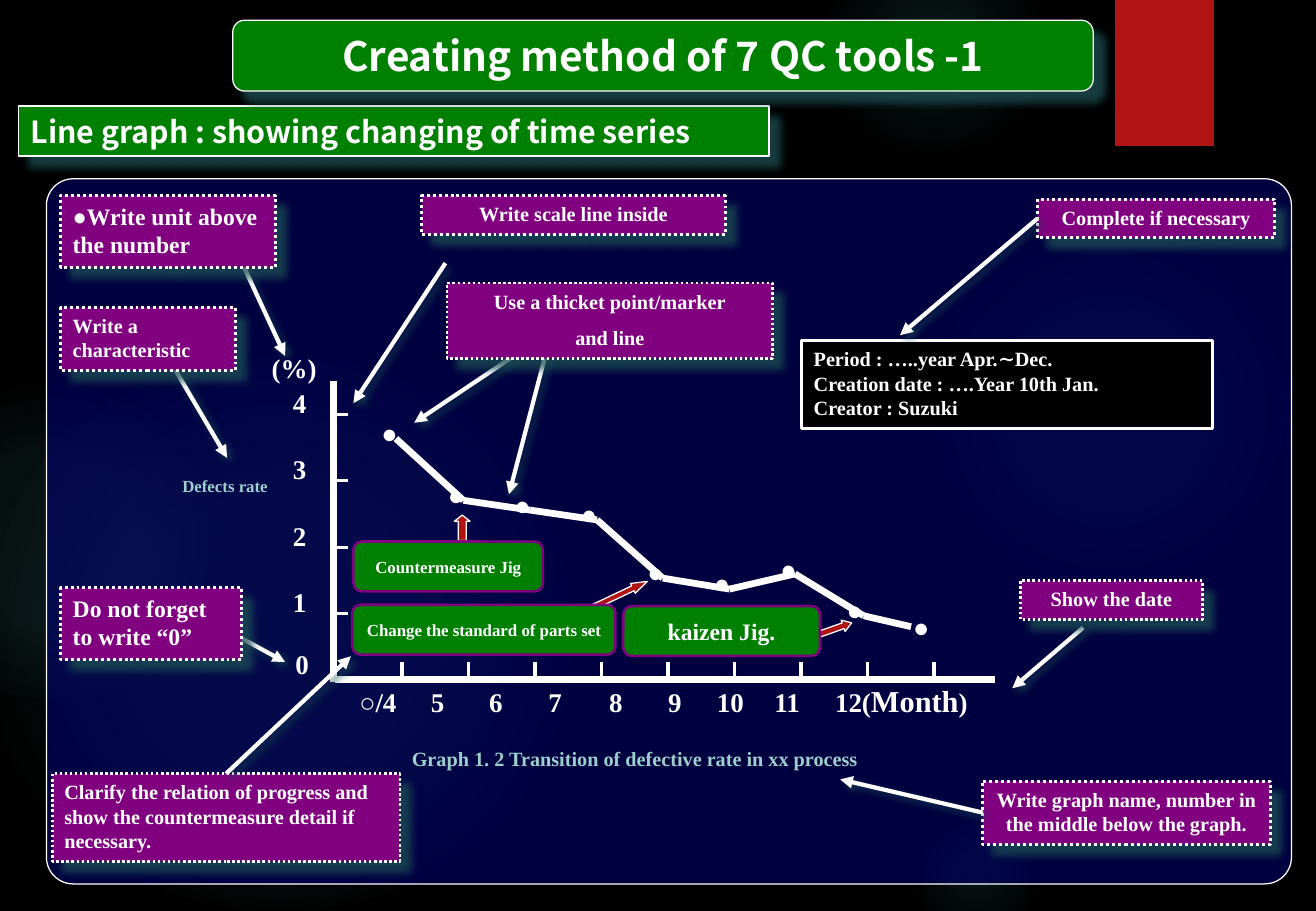
from dataclasses import dataclass
from itertools import pairwise

from pptx import Presentation
from pptx.dml.color import RGBColor
from pptx.enum.dml import MSO_LINE
from pptx.enum.shapes import MSO_CONNECTOR, MSO_SHAPE
from pptx.enum.text import MSO_ANCHOR, PP_ALIGN
from pptx.oxml import parse_xml
from pptx.oxml.ns import nsdecls, qn
from pptx.util import Pt

RECTANGLE = MSO_SHAPE.RECTANGLE
ROUNDED = MSO_SHAPE.ROUNDED_RECTANGLE
OVAL = MSO_SHAPE.OVAL
UP_ARROW = MSO_SHAPE.UP_ARROW
STRAIGHT = MSO_CONNECTOR.STRAIGHT
DOTTED = MSO_LINE.ROUND_DOT
LEFT, CENTER = PP_ALIGN.LEFT, PP_ALIGN.CENTER
TOP, MIDDLE = MSO_ANCHOR.TOP, MSO_ANCHOR.MIDDLE
TOP_SIDE, LEFT_SIDE = 0, 1


@dataclass(frozen=True)
class Theme:
    black: str = "000000"
    white: str = "FFFFFF"
    green: str = "008000"
    purple: str = "800080"
    navy: str = "000080"
    red: str = "B01513"
    glow: str = "50B9C1"
    pale: str = "9DD0CB"
    shade: str = "1E5155"
    serif: str = "Times New Roman"
    sans: str = "Noto Sans CJK JP"
    title: int = 24
    heading: int = 18
    axis: int = 16
    large: int = 14
    body: int = 12
    small: int = 10


THEME = Theme()
BOX_SHADOW = (THEME.shade, 75, 5, 8.5, 45)
ARROW_SHADOW = (THEME.shade, 75, 5, 3, 45)
RIBBON_SHADOW = (THEME.black, 45, 3, 2, 90)


def add_span(para, text, size=THEME.body, color=THEME.white, font=THEME.serif, bold=True):
    span = para.add_run()
    span.text = text
    span.font.size = Pt(size)
    span.font.name = font
    span.font.bold = bold
    span.font.color.rgb = RGBColor.from_string(color)


def write(frame, text, align=LEFT, anchor=TOP, wrap=True, gap=0, **style):
    """Fill a text frame, one paragraph per line, and return the last paragraph."""
    frame.word_wrap = wrap
    frame.vertical_anchor = anchor
    for index, line in enumerate(text.split("\n")):
        para = frame.add_paragraph() if index else frame.paragraphs[0]
        para.alignment = align
        if index and gap:
            para.space_before = Pt(gap)
        add_span(para, line, **style)
    return para


def set_effects(properties, shadow):
    """Give shape properties one outer shadow, or none at all."""
    effects = properties.find(qn("a:effectLst"))
    if effects is None:
        effects = parse_xml(f"<a:effectLst {nsdecls('a')}/>")
        properties.append(effects)
    if shadow:
        color, opacity, blur, distance, angle = shadow
        effects.append(parse_xml(
            f'<a:outerShdw {nsdecls("a")} blurRad="{int(Pt(blur))}" dist="{int(Pt(distance))}" '
            f'dir="{angle * 60000}" algn="tl" rotWithShape="0"><a:srgbClr val="{color}">'
            f'<a:alpha val="{opacity * 1000}"/></a:srgbClr></a:outerShdw>'))


class Canvas:
    def __init__(self, page, theme):
        self.page = page
        self.theme = theme

    def shape(self, kind, place, fill=None, line=None, width=0.75, dash=None,
              adjust=(), turn=0, shadow=None, opacity=100):
        box = self.page.shapes.add_shape(kind, *map(Pt, place))
        box.shadow.inherit = False
        box.rotation = turn
        for index, value in enumerate(adjust):
            box.adjustments[index] = value
        properties = box._element.spPr
        if fill:
            box.fill.solid()
            box.fill.fore_color.rgb = RGBColor.from_string(fill)
        else:
            box.fill.background()
        if opacity < 100:
            color = properties.find(qn("a:solidFill"))[0]
            color.append(parse_xml(f'<a:alpha {nsdecls("a")} val="{opacity * 1000}"/>'))
        if line:
            box.line.color.rgb = RGBColor.from_string(line)
            box.line.width = Pt(width)
            if dash:
                box.line.dash_style = dash
        else:
            box.line.fill.background()
        set_effects(properties, shadow)
        return box

    def glow(self, place, stops):
        spot = self.shape(OVAL, place)
        marks = "".join(
            f'<a:gs pos="{position * 1000}"><a:srgbClr val="{self.theme.glow}">'
            f'<a:alpha val="{opacity * 1000}"/></a:srgbClr></a:gs>' for position, opacity in stops)
        properties = spot._element.spPr
        properties.replace(properties.find(qn("a:noFill")), parse_xml(
            f'<a:gradFill {nsdecls("a")}><a:gsLst>{marks}</a:gsLst><a:path path="circle">'
            '<a:fillToRect l="50000" t="50000" r="50000" b="50000"/></a:path></a:gradFill>'))

    def label(self, place, text, **style):
        box = self.page.shapes.add_textbox(*map(Pt, place))
        return box, write(box.text_frame, text, **style)

    def callout(self, place, text, width=1.75, **style):
        box = self.shape(RECTANGLE, place, self.theme.purple, self.theme.white, width,
                         DOTTED, shadow=BOX_SHADOW)
        write(box.text_frame, text, **style)
        return box

    def line(self, start, end, width):
        line = self.page.shapes.add_connector(STRAIGHT, *map(Pt, (*start, *end)))
        line.line.color.rgb = RGBColor.from_string(self.theme.white)
        line.line.width = Pt(width)
        set_effects(line._element.spPr, None)
        return line

    def arrow(self, start, end, box=None, side=TOP_SIDE):
        arrow = self.line(start, end, 2.5)
        properties = arrow._element.spPr
        properties.find(qn("a:ln")).append(
            parse_xml(f'<a:tailEnd {nsdecls("a")} type="triangle"/>'))
        set_effects(properties, ARROW_SHADOW)
        if box is not None:
            arrow.begin_connect(box, side)


deck = Presentation()
deck.slide_width, deck.slide_height = Pt(780), Pt(540)
page = deck.slides.add_slide(deck.slide_layouts[6])
page.background.fill.solid()
page.background.fill.fore_color.rgb = RGBColor.from_string(THEME.black)
canvas = Canvas(page, THEME)

# Backdrop
for place, stops in (
    ((537, 132, 240.5, 222), ((0, 7), (36, 6), (69, 0))),
    ((485, -36, 137, 126), ((0, 14), (36, 7), (73, 0))),
    ((537, 480, 84, 78), ((0, 9), (36, 5), (66, 0))),
    ((-13, 210, 358, 330), ((0, 11), (36, 10), (75, 0))),
    ((-71, 228, 202, 186), ((0, 8), (36, 8), (72, 0))),
):
    canvas.glow(place, stops)
canvas.shape(RECTANGLE, (661, 0, 58.5, 86.5), THEME.red, shadow=RIBBON_SHADOW)

# Title, heading and panel
heading = canvas.shape(RECTANGLE, (11, 63, 445, 29.5), THEME.green, THEME.white, 1,
                       shadow=BOX_SHADOW)
write(heading.text_frame, "Line graph : showing changing of time series",
      anchor=MIDDLE, size=THEME.heading, font=THEME.sans)
title = canvas.shape(ROUNDED, (138, 12, 510, 42), THEME.green, THEME.white, shadow=BOX_SHADOW)
write(title.text_frame, "Creating method of 7 QC tools -1", align=CENTER, anchor=MIDDLE,
      wrap=False, size=THEME.title, font=THEME.sans)
canvas.shape(ROUNDED, (27.5, 106, 738, 418), THEME.navy, THEME.white, adjust=(0.038,), opacity=50)

# Axes with ticks and labels
STEP, AXIS_X, AXIS_Y = 39.4, 198.5, 402.7
canvas.line((197.5, 226), (197.5, 404.5), 4)
canvas.line((AXIS_X, AXIS_Y), (590, AXIS_Y), 4)
for value in range(1, 5):
    tick_y = AXIS_Y + 0.5 - STEP * value
    canvas.line((AXIS_X, tick_y), (AXIS_X + 8, tick_y), 2)
    canvas.label((166.5, tick_y - 20.2, 34, 27), str(value), size=THEME.axis)
canvas.label((168, 380, 34, 27), "0", size=THEME.axis)
canvas.label((154, 205, 58, 27), "(%)", size=THEME.axis)
for month in range(1, 10):
    tick_x = AXIS_X + 0.4 + STEP * month
    canvas.line((tick_x, AXIS_Y - 10), (tick_x, AXIS_Y), 2)

months, para = canvas.label((197.5, 401, 438, 29), "", size=THEME.axis)
months.text_frame.margin_left = Pt(15.5)
stops = "".join(f'<a:tab pos="{int(Pt(stop))}" algn="l"/>'
                for stop in (42.5, 77, 112, 148, 183, 212, 246, 282))
para._p.get_or_add_pPr().append(parse_xml(f"<a:tabLst {nsdecls('a')}>{stops}</a:tabLst>"))
para.runs[0].text = "○/4\t5\t6\t7\t8\t9\t10\t11\t12("
add_span(para, "Month", size=THEME.heading)
add_span(para, ")", size=THEME.axis)

# Data markers and trend line
for index, top in enumerate((243.4, 280, 286, 291.5, 326, 332.5, 324, 348.5, 358.5)):
    canvas.label((219 + STEP * index, top, 34, 27), "●", size=THEME.axis, bold=False)
trend = ((234.7, 260), (274.7, 296.6), (314.3, 302.4), (353.9, 308.2), (392.8, 342.7),
         (432.4, 349.2), (471.2, 340.2), (511.9, 365), (540, 371.5))
for start, end in pairwise(trend):
    canvas.line(start, end, 4)

# Axis name and graph name
canvas.label((101, 278.6, 103, 27), "Defects rate", size=THEME.small, color=THEME.pale)
canvas.label((237, 439, 335, 22), "Graph 1. 2 Transition of defective rate in xx process",
             color=THEME.pale)

# Countermeasures with block arrows
for place, head, turn in (((269.3, 305.3, 9.4, 15.1), 0.4, 0),
                          ((363.6, 334, 6.5, 37.4), 1.47, 64.6),
                          ((491, 362, 7.2, 21.6), 0.75, 70.6)):
    canvas.shape(UP_ARROW, place, THEME.red, THEME.white, adjust=(0.5, head), turn=turn)
for place, text, size in (
    ((209.5, 321, 112.3, 29.5), "Countermeasure Jig", THEME.small),
    ((208.8, 358.5, 156, 29.5), "Change the standard of parts set", THEME.small),
    ((369.4, 359.3, 116.6, 29.5), "kaizen Jig.", THEME.large),
):
    card = canvas.shape(ROUNDED, place, THEME.green, THEME.purple, 1.5)
    write(card.text_frame, text, align=CENTER, anchor=MIDDLE, wrap=False, size=size)

# Pointers that start behind or beside their callouts
for start, end in (((138, 144), (169, 211)), ((102, 216), (134.6, 271.4)),
                   ((131.8, 372.2), (169, 392.4)), ((324, 198), (245.5, 250.6)),
                   ((329.8, 185.8), (301.7, 293)), ((264, 156), (209.5, 239)),
                   ((642, 372), (600, 408))):
    canvas.arrow(start, end)

# Callouts
canvas.callout((265, 167.8, 193, 44.6), "Use a thicket point/marker\nand line", 1.5,
               align=CENTER, gap=7)
canvas.callout((604.8, 344.2, 108, 23), "Show the date", 1.5, align=CENTER)
canvas.callout((36, 116, 127.4, 42.5), "●Write unit above the number", size=THEME.large)
canvas.callout((250, 116, 180, 23), "Write scale line inside", align=CENTER)
canvas.callout((36, 182.2, 103.7, 37.4), "Write a characteristic")
canvas.callout((36, 348.5, 107.3, 42.5), "Do not forget\nto write “0”", size=THEME.large)
relation = canvas.callout(
    (31, 458.6, 206, 52),
    "Clarify the relation of progress and show the countermeasure detail if necessary.", 1.5)
complete = canvas.callout((615, 118, 140.4, 23), "Complete if necessary", align=CENTER)
naming = canvas.callout((582.5, 463, 170.6, 37.4),
                        "Write graph name, number in the middle below the graph.", align=CENTER)
record = canvas.shape(RECTANGLE, (475.2, 202, 243.4, 52), THEME.black, THEME.white, 1.5)
write(record.text_frame,
      "Period : …..year Apr.∼Dec.\nCreation date : ….Year 10th Jan.\nCreator : Suzuki")

# Pointers joined to their callouts
canvas.arrow((134, 458.6), (208, 389), relation, TOP_SIDE)
canvas.arrow((615, 129.5), (533.5, 198.7), complete, LEFT_SIDE)
canvas.arrow((582.5, 481.7), (498, 462), naming, LEFT_SIDE)

deck.save("out.pptx")
